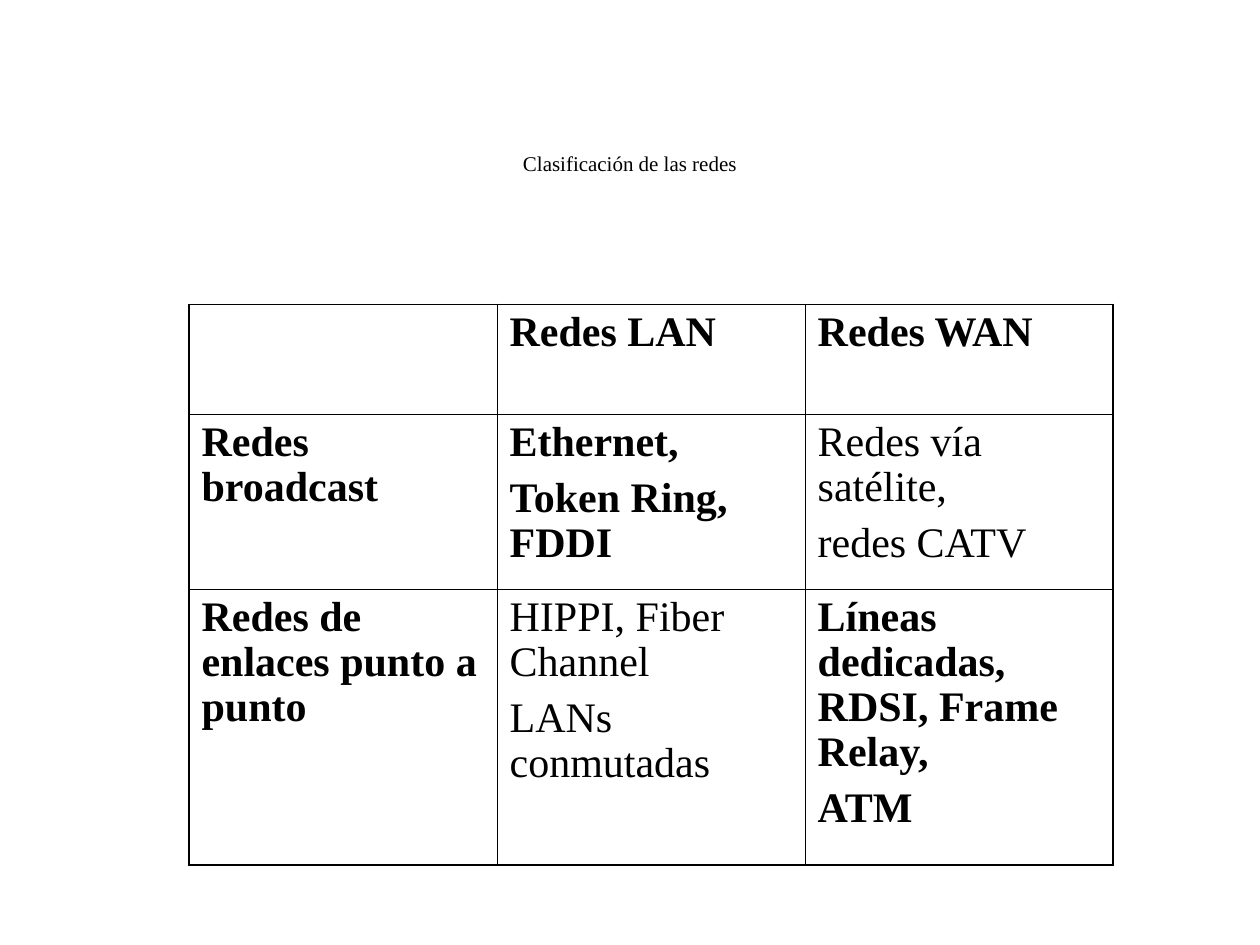
from lxml import etree
from pptx import Presentation
from pptx.dml.color import RGBColor
from pptx.enum import text
from pptx.oxml import ns
from pptx.util import Cm, Pt

BLACK = RGBColor(0x00, 0x00, 0x00)
FONT = "Times New Roman"
OUTER, INNER = Pt(1.08), Pt(0.45)

# Each cell holds its paragraphs and whether they are bold
ROWS = [
    [([], False), (["Redes LAN"], True), (["Redes WAN"], True)],
    [(["Redes broadcast"], True),
     (["Ethernet,", "Token Ring, FDDI"], True),
     (["Redes vía satélite,", "redes CATV"], False)],
    [(["Redes de enlaces punto a punto"], True),
     (["HIPPI, Fiber Channel", "LANs conmutadas"], False),
     (["Líneas dedicadas, RDSI, Frame Relay,", "ATM"], True)],
]
ROW_HEIGHTS = [Cm(2.21), Cm(3.53), Cm(5.56)]


def format_font(font, size, bold=False):
    font.name, font.size, font.bold = FONT, Pt(size), bold
    font.color.rgb = BLACK


def set_border(cell, side, width):
    tc_pr = cell._tc.get_or_add_tcPr()
    ln = etree.SubElement(tc_pr, ns.qn(f"a:ln{side}"), w=str(int(width)))
    fill = etree.SubElement(ln, ns.qn("a:solidFill"))
    etree.SubElement(fill, ns.qn("a:srgbClr"), val=str(BLACK))


def fill_cell(cell, lines, bold):
    tf = cell.text_frame
    tf.text = "\n".join(lines)
    for i, p in enumerate(tf.paragraphs):
        p.line_spacing = 0.97
        if i:
            p.space_before = Pt(6)
        for r in p.runs:
            format_font(r.font, 24, bold)


def add_title(s, left, top, width, height):
    sp = s.shapes.title
    sp.left, sp.top, sp.width, sp.height = left, top, width, height
    tf = sp.text_frame
    tf.text = "Clasificación de las redes"
    tf.vertical_anchor = text.MSO_ANCHOR.MIDDLE
    p = tf.paragraphs[0]
    p.alignment = text.PP_ALIGN.CENTER
    format_font(p.runs[0].font, 12)


def add_network_table(s, left, top, width):
    n_rows, n_cols = len(ROWS), len(ROWS[0])
    table = s.shapes.add_table(n_rows, n_cols, left, top, width,
                               sum(ROW_HEIGHTS)).table
    table.first_row = table.horz_banding = False
    for col in table.columns:
        col.width = width // n_cols
    for i, (row, height) in enumerate(zip(ROWS, ROW_HEIGHTS)):
        table.rows[i].height = height
        for j, (lines, bold) in enumerate(row):
            cell = table.cell(i, j)
            fill_cell(cell, lines, bold)
            # Thicker lines around the outside of the grid
            edges = {"L": j == 0, "R": j == n_cols - 1,
                     "T": i == 0, "B": i == n_rows - 1}
            for side, is_outer in edges.items():
                set_border(cell, side, OUTER if is_outer else INNER)
            cell.fill.background()


def main():
    prs = Presentation()
    prs.slide_width, prs.slide_height = Cm(25.4), Cm(19.05)
    s = prs.slides.add_slide(prs.slide_layouts[5])
    add_title(s, Cm(1.9), Cm(1.7), Cm(21.6), Cm(3.18))
    add_network_table(s, Cm(3.81), Cm(6.14), Cm(18.63))
    prs.save("out.pptx")


if __name__ == "__main__":
    main()
